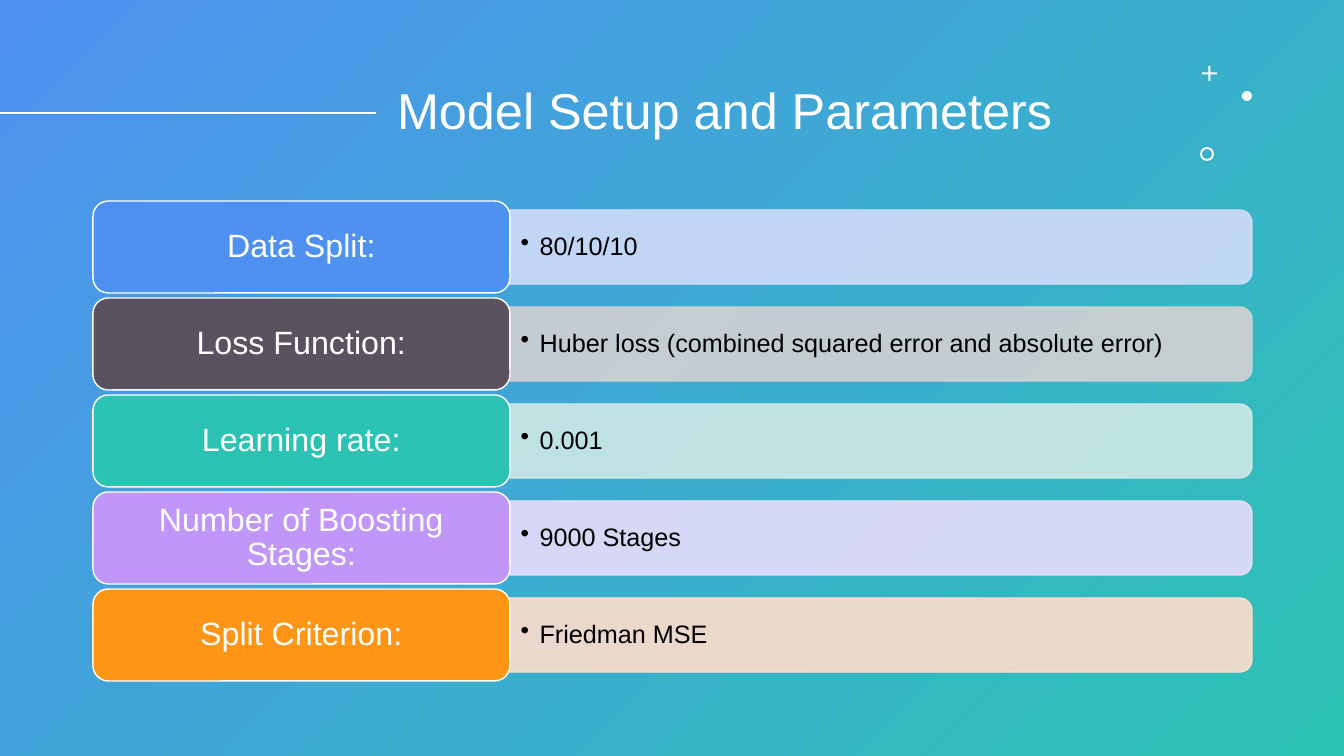
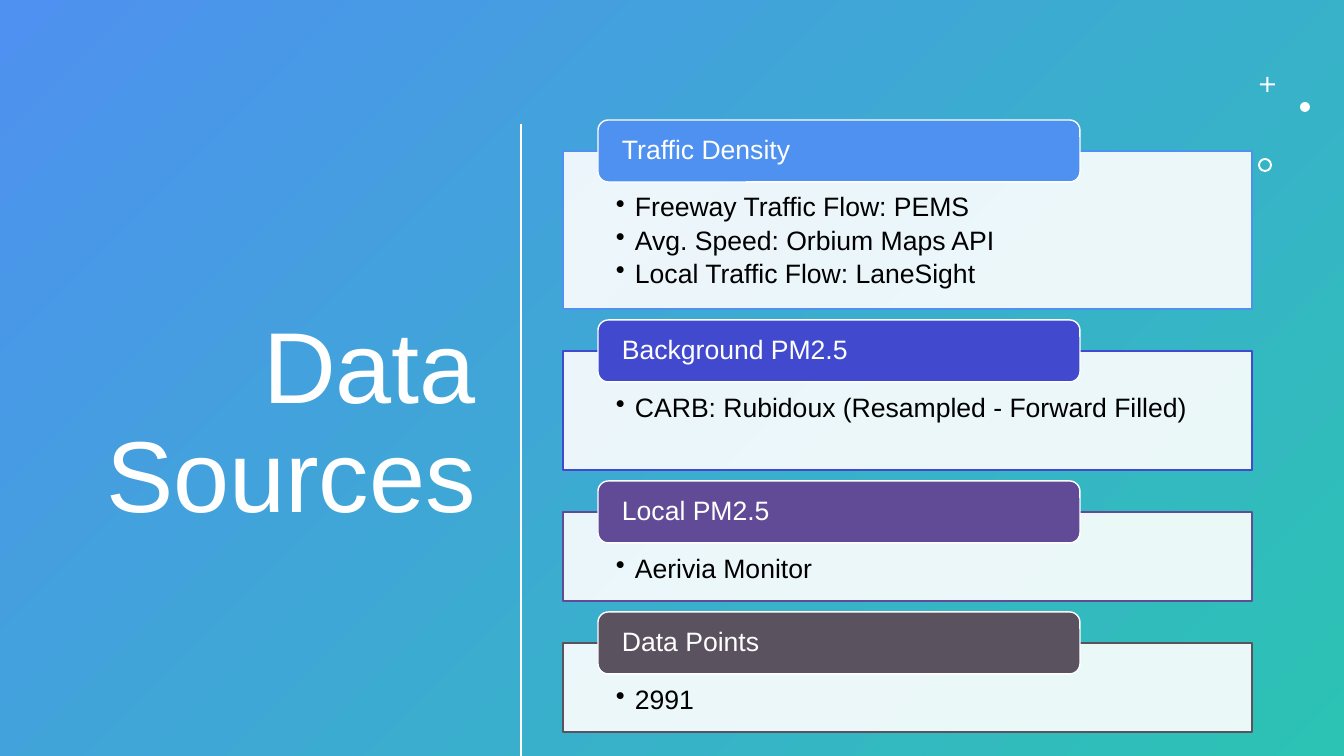
"""Build two slides on model parameters and data sources."""
from lxml.etree import SubElement
from pptx import Presentation
from pptx.dml.color import RGBColor
from pptx.enum.shapes import MSO_CONNECTOR, MSO_SHAPE
from pptx.enum.text import MSO_ANCHOR, MSO_AUTO_SIZE, PP_ALIGN
from pptx.oxml.ns import qn
from pptx.util import Emu, Pt

WHITE = RGBColor(0xFF, 0xFF, 0xFF)
BLACK = RGBColor(0x00, 0x00, 0x00)
BLUE = RGBColor(0x4E, 0x91, 0xF0)
TEAL = RGBColor(0x2C, 0xC3, 0xB4)
SLATE = RGBColor(0x5B, 0x52, 0x60)
LILAC = RGBColor(0xC0, 0x97, 0xF8)
ORANGE = RGBColor(0xFF, 0x95, 0x14)
INDIGO = RGBColor(0x41, 0x4A, 0xCE)
PLUM = RGBColor(0x61, 0x4B, 0x96)
PALE_BLUE = RGBColor(0xD0, 0xDC, 0xF9)
PALE_GREY = RGBColor(0xD2, 0xD1, 0xD2)
PALE_TEAL = RGBColor(0xCD, 0xE9, 0xE5)
PALE_LILAC = RGBColor(0xE8, 0xDD, 0xFC)
PALE_ORANGE = RGBColor(0xFF, 0xDD, 0xCC)
FONT = "Arial"
PX = 914400 / 100.8


def write(shape, *lines, size, color=WHITE, align=PP_ALIGN.LEFT,
          anchor=MSO_ANCHOR.MIDDLE, insets=(10, 5, 10, 5), bullet=False):
    frame = shape.text_frame
    frame.word_wrap = True
    frame.auto_size = MSO_AUTO_SIZE.NONE
    frame.vertical_anchor = anchor
    (frame.margin_left, frame.margin_top,
     frame.margin_right, frame.margin_bottom) = [Emu(round(i * PX)) for i in insets]
    frame.text = "\n".join(lines)
    for paragraph in frame.paragraphs:
        paragraph.alignment = align
        paragraph.line_spacing = 0.9
        paragraph.font.size = Pt(size)
        paragraph.font.name = FONT
        paragraph.font.color.rgb = color
        if bullet:
            paragraph.space_after = Pt(3.3)
            properties = paragraph._p.get_or_add_pPr()
            properties.set("marL", str(round(19 * PX)))
            properties.set("indent", str(round(-19 * PX)))
            mark = SubElement(properties, qn("a:buChar"))
            mark.set("char", "•")
            properties.find(qn("a:defRPr")).addprevious(mark)


def draw(slide, kind, *box, fill, line=None, opacity=100):
    shape = slide.shapes.add_shape(kind, *[Emu(round(v * PX)) for v in box])
    shape.shadow.inherit = False
    shape.fill.solid()
    shape.fill.fore_color.rgb = fill
    if opacity < 100:
        color = shape._element.spPr.find(qn("a:solidFill")).find(qn("a:srgbClr"))
        SubElement(color, qn("a:alpha")).set("val", str(opacity * 1000))
    if line is None:
        shape.line.fill.background()
    else:
        shape.line.color.rgb = line
        shape.line.width = Pt(1)
    return shape


prs = Presentation()
prs.slide_width = Emu(round(1344 * PX))
prs.slide_height = Emu(round(756 * PX))

backdrop = prs.slide_master.background.fill
backdrop.gradient()
backdrop.gradient_angle = 315
for stop, shade in zip(backdrop.gradient_stops, (BLUE, TEAL)):
    stop.color.rgb = shade
    stop.position = 0 if shade == BLUE else 1

headings = [
    ("Model Setup and Parameters", (387, 40, 789, 146), 36, PP_ALIGN.LEFT,
     (0, 113, 376, 113), (1202, 66)),
    ("Data Sources", (52, 117, 434, 616), 72, PP_ALIGN.RIGHT,
     (521, 124, 521, 756), (1260, 77)),
]
ornaments = [
    (MSO_SHAPE.CROSS, 0, 0, 15, 0.43),
    (MSO_SHAPE.OVAL, 40, 25, 10, None),
    (MSO_SHAPE.DONUT, -2, 81, 14, 0.14),
]
for heading, place, size, align, rule_ends, (corner_x, corner_y) in headings:
    slide = prs.slides.add_slide(prs.slide_layouts[5])
    title = slide.shapes.title
    title.left, title.top, title.width, title.height = [
        Emu(round(v * PX)) for v in place]
    write(title, heading, size=size, align=align)
    rule = slide.shapes.add_connector(
        MSO_CONNECTOR.STRAIGHT, *[Emu(round(v * PX)) for v in rule_ends])
    rule.line.color.rgb = WHITE
    rule.line.width = Pt(2)
    SubElement(rule._element.spPr, qn("a:effectLst"))
    for kind, dx, dy, side, thickness in ornaments:
        ornament = draw(slide, kind, corner_x + dx, corner_y + dy, side, side,
                        fill=WHITE)
        if thickness:
            ornament.adjustments[0] = thickness

setup_slide, sources_slide = prs.slides

parameters = [
    ("Data Split:", "80/10/10", BLUE, PALE_BLUE),
    ("Loss Function:", "Huber loss (combined squared error and absolute error)",
     SLATE, PALE_GREY),
    ("Learning rate:", "0.001", TEAL, PALE_TEAL),
    ("Number of Boosting Stages:", "9000 Stages", LILAC, PALE_LILAC),
    ("Split Criterion:", "Friedman MSE", ORANGE, PALE_ORANGE),
]
for row, (parameter, setting, strong, pale) in enumerate(parameters):
    top = 201 + 97 * row
    bar = draw(setup_slide, MSO_SHAPE.ROUNDED_RECTANGLE, 480, top + 9, 772, 74,
               fill=pale, line=pale, opacity=90)
    write(bar, setting, size=18, color=BLACK, insets=(37, 4, 7, 4), bullet=True)
    label = draw(setup_slide, MSO_SHAPE.ROUNDED_RECTANGLE, 93, top, 417, 92,
                 fill=strong, line=WHITE)
    write(label, parameter, size=23, align=PP_ALIGN.CENTER, insets=(14, 9, 14, 9))

sources = [
    ("Traffic Density", BLUE, 158,
     ["Freeway Traffic Flow: PEMS", "Avg. Speed: Orbium Maps API",
      "Local Traffic Flow: LaneSight"]),
    ("Background PM2.5", INDIGO, 119,
     ["CARB: Rubidoux (Resampled - Forward Filled)"]),
    ("Local PM2.5", PLUM, 89, ["Aerivia Monitor"]),
    ("Data Points", SLATE, 89, ["2991"]),
]
top = 151
for source, accent, height, details in sources:
    panel = draw(sources_slide, MSO_SHAPE.RECTANGLE, 563, top, 689, height,
                 fill=WHITE, line=accent, opacity=90)
    write(panel, *details, size=19, color=BLACK, anchor=MSO_ANCHOR.TOP,
          insets=(53, 43, 53, 15), bullet=True)
    tab = draw(sources_slide, MSO_SHAPE.ROUNDED_RECTANGLE, 598, top - 31, 482, 62,
               fill=accent, line=WHITE)
    write(tab, source, size=19, insets=(21, 3, 21, 3))
    top += height + 42

prs.save("out.pptx")
